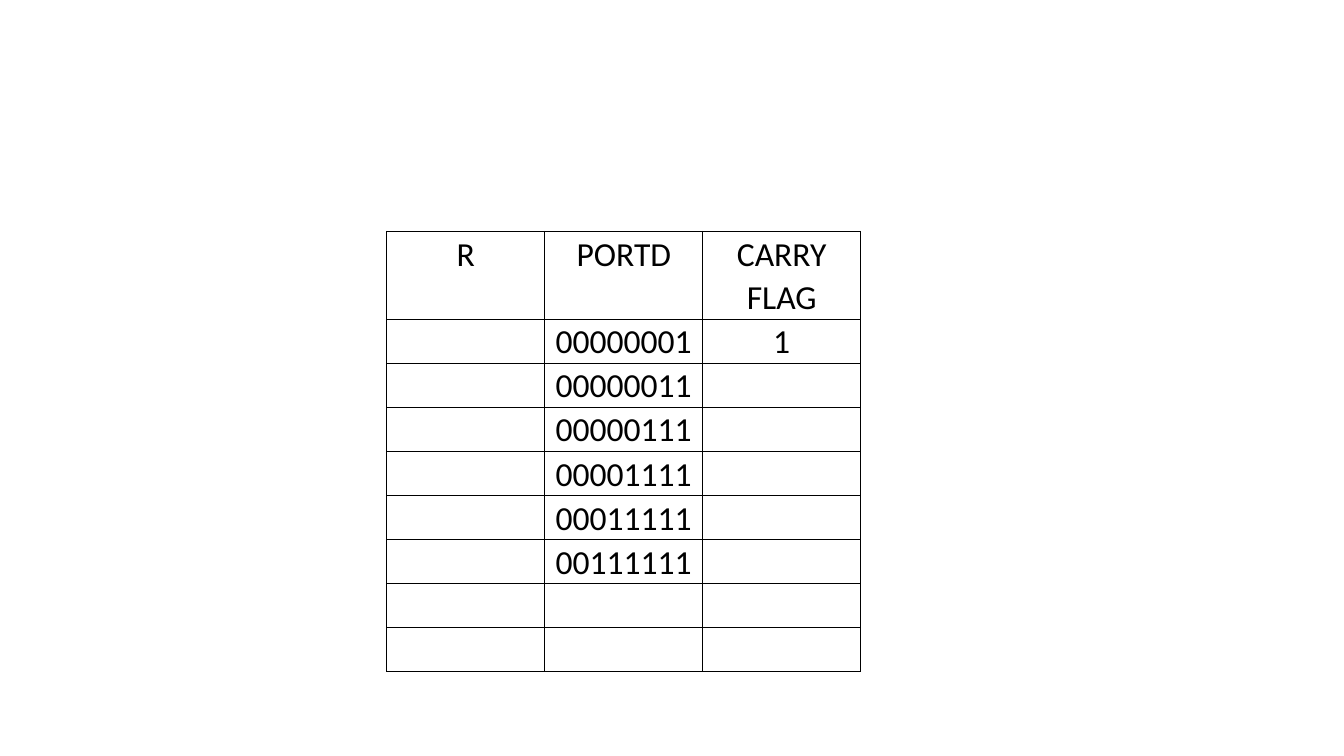
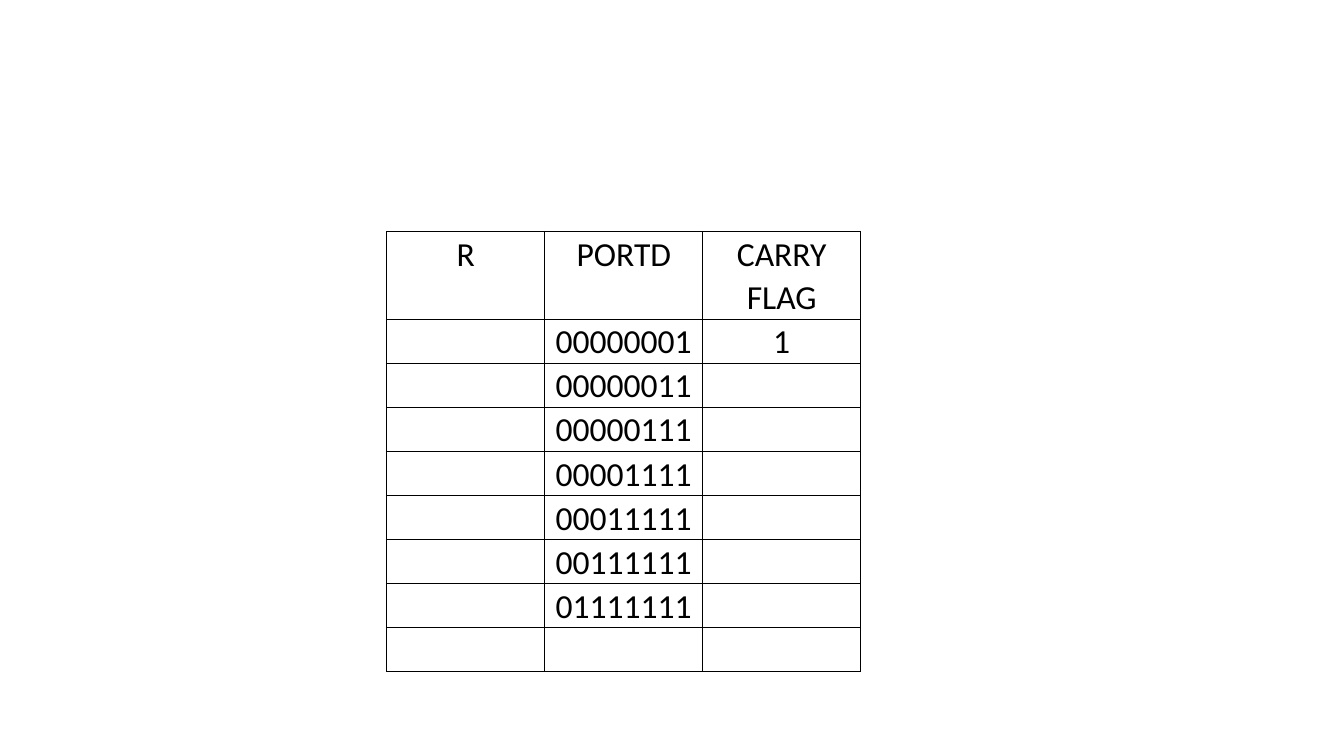
from dataclasses import dataclass

from lxml.etree import SubElement
from pptx import Presentation
from pptx.dml.color import RGBColor
from pptx.enum.text import PP_ALIGN as Align
from pptx.oxml.ns import qn
from pptx.util import Cm, Pt


@dataclass(frozen=True)
class Theme:
    font: str = "Calibri"
    text_size: float = 24
    ink: str = "000000"
    border_width: float = 1
    line_spacing: float = 1.07
    space_after: float = 8
    side_margin: float = 0.18


THEME = Theme()
HEADINGS = ("R", "PORTD", "CARRY FLAG")
STEP_COUNT = 8
LEFT, TOP = 9.75, 5.83
COLUMN_WIDTH = 3.98
HEADING_HEIGHT, STEP_HEIGHT = 2.21, 1.11


def add_borders(cell):
    properties = cell._tc.get_or_add_tcPr()
    for side in ("lnL", "lnR", "lnT", "lnB"):
        border = SubElement(properties, qn(f"a:{side}"), w=str(Pt(THEME.border_width)))
        fill = SubElement(border, qn("a:solidFill"))
        SubElement(fill, qn("a:srgbClr"), val=THEME.ink)


def write_cell(cell, text):
    add_borders(cell)
    cell.fill.background()
    cell.margin_left = cell.margin_right = Cm(THEME.side_margin)
    cell.margin_top = cell.margin_bottom = 0
    if not text:
        return
    paragraph = cell.text_frame.paragraphs[0]
    paragraph.text = text
    paragraph.alignment = Align.CENTER
    paragraph.line_spacing = THEME.line_spacing
    paragraph.space_after = Pt(THEME.space_after)
    for run in paragraph.runs:
        run.font.name = THEME.font
        run.font.size = Pt(THEME.text_size)
        run.font.color.rgb = RGBColor.from_string(THEME.ink)


def register_rows(shown_steps):
    """Each shown step shifts one more 1 into PORTD; later steps stay empty."""
    rows = [HEADINGS]
    for step in range(1, STEP_COUNT + 1):
        port = f"{2 ** step - 1:08b}" if step <= shown_steps else ""
        rows.append(("", port, "1" if step == 1 else ""))
    return rows


def add_register_table(slide, rows):
    frame = slide.shapes.add_table(
        len(rows), len(HEADINGS), Cm(LEFT), Cm(TOP),
        Cm(COLUMN_WIDTH * len(HEADINGS)),
        Cm(HEADING_HEIGHT + STEP_HEIGHT * STEP_COUNT))
    table = frame.table
    table.first_row = table.horz_banding = False
    for column in table.columns:
        column.width = Cm(COLUMN_WIDTH)
    for index, (row, texts) in enumerate(zip(table.rows, rows)):
        row.height = Cm(STEP_HEIGHT if index else HEADING_HEIGHT)
        for cell, text in zip(row.cells, texts):
            write_cell(cell, text)


def main():
    deck = Presentation()
    deck.slide_width, deck.slide_height = Cm(33.87), Cm(19.05)
    blank = deck.slide_layouts[6]
    for shown_steps in (6, 7):
        add_register_table(deck.slides.add_slide(blank), register_rows(shown_steps))
    deck.save("out.pptx")


if __name__ == "__main__":
    main()
